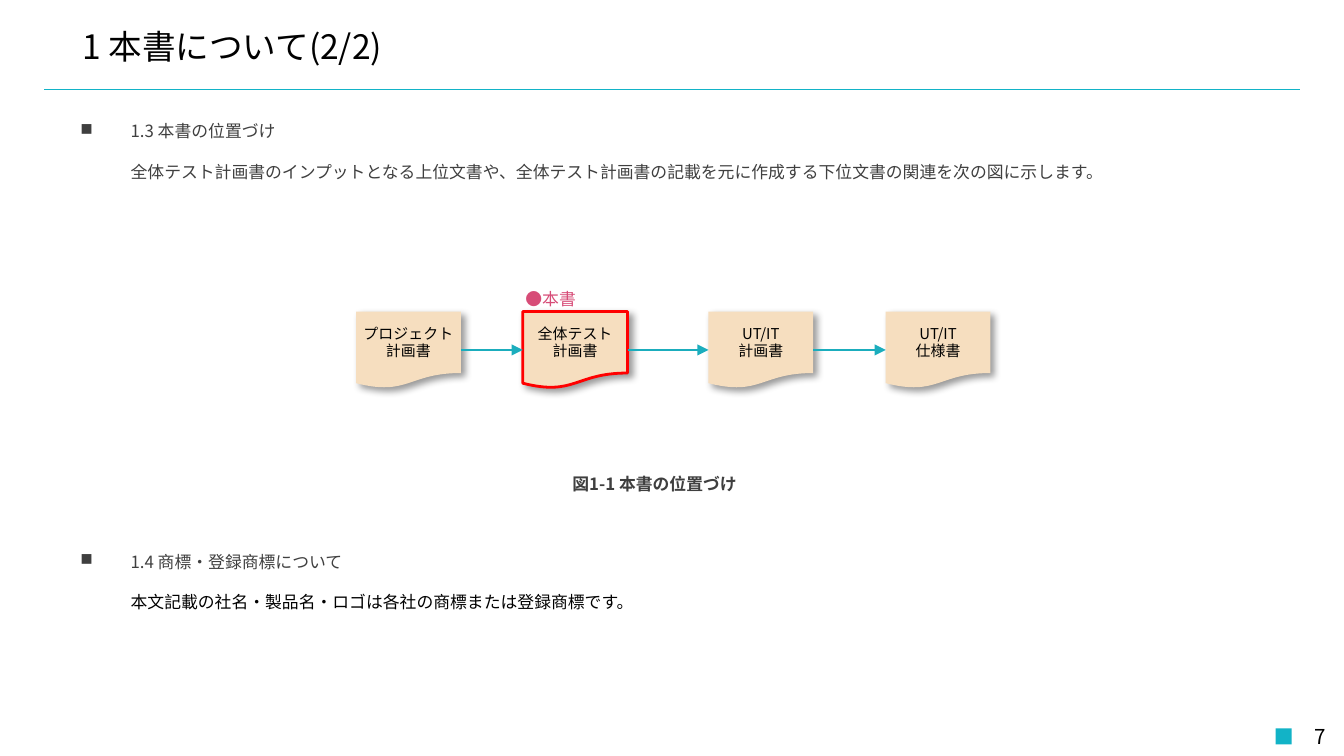
import pptx
import pptx.util
import pptx.dml.color
import pptx.enum.shapes
import pptx.enum.text
import pptx.oxml.ns
import lxml.etree

Cm = pptx.util.Cm
Pt = pptx.util.Pt
Align = pptx.enum.text.PP_ALIGN
Anchor = pptx.enum.text.MSO_ANCHOR
Shape = pptx.enum.shapes.MSO_SHAPE

FONT = "Noto Sans CJK JP"
COLORS = {
    "black": "000000",
    "body": "3F3F3F",
    "accent": "12B3C7",
    "arrow": "1BADBD",
    "document": "F6DEBF",
    "focus": "FF0000",
    "label": "D74C77",
}


def color(name):
    return pptx.dml.color.RGBColor.from_string(COLORS[name])


def add_element(parent, tag, **attributes):
    element = lxml.etree.SubElement(parent, pptx.oxml.ns.qn(tag))
    for key, value in attributes.items():
        element.set(key, str(value))
    return element


def write(frame, text, size=9, ink="black", bold=False, align=Align.LEFT,
          anchor=Anchor.TOP, wrap=True, spacing=None, before=0):
    frame.word_wrap = wrap
    frame.vertical_anchor = anchor
    for index, line in enumerate(text.split("\n")):
        para = frame.paragraphs[0] if index == 0 else frame.add_paragraph()
        para.alignment = align
        para.space_before = Pt(before if index else 0)
        if spacing:
            para.line_spacing = spacing
        span = para.add_run()
        span.text = line
        span.font.size = Pt(size)
        span.font.bold = bold
        span.font.name = FONT
        span.font.color.rgb = color(ink)
        add_element(span.font._element, "a:ea", typeface=FONT)
    return frame


def add_text(page, left, top, width, height, text, **style):
    box = page.shapes.add_textbox(Cm(left), Cm(top), Cm(width), Cm(height))
    return write(box.text_frame, text, **style)


def add_line(page, left, top, right, bottom, ink, weight):
    line = page.shapes.add_connector(
        pptx.enum.shapes.MSO_CONNECTOR.STRAIGHT,
        Cm(left), Cm(top), Cm(right), Cm(bottom))
    line.line.color.rgb = color(ink)
    line.line.width = Pt(weight)
    add_element(line._element.spPr, "a:effectLst")
    return line


def add_header(page, left, top, width, height, text):
    title = page.shapes.title
    title.left, title.top = Cm(left + 0.46), Cm(top)
    title.width, title.height = Cm(width - 0.86), Cm(height)
    write(title.text_frame, text, size=18, anchor=Anchor.MIDDLE)
    add_line(page, left, top + 1.32, left + width, top + 1.32, "accent", 0.25)


def add_footer(page, left, top, width, height, number):
    add_text(page, left, top, width, height, number, size=11,
             align=Align.RIGHT, anchor=Anchor.MIDDLE)
    marker = page.shapes.add_shape(
        Shape.RECTANGLE, Cm(left + 2.34), Cm(top + 0.23), Cm(0.3), Cm(0.3))
    marker.shadow.inherit = False
    marker.fill.solid()
    marker.fill.fore_color.rgb = color("accent")
    marker.line.fill.background()


def add_section(page, left, top, width, height, heading, text, ink):
    frame = add_text(page, left, top, width, height, heading + "\n" + text,
                     ink="body", spacing=Pt(11), before=10.6)
    first, second = frame.paragraphs
    for para, indent in ((first, -Cm(0.95)), (second, 0)):
        para._p.get_or_add_pPr().set("marL", str(Cm(0.95)))
        para._p.get_or_add_pPr().set("indent", str(indent))
    add_element(first._p.get_or_add_pPr(), "a:buChar", char="■")
    second.runs[0].font.color.rgb = color(ink)


def add_document(page, left, top, width, height, text, focus):
    document = page.shapes.add_shape(
        Shape.FLOWCHART_DOCUMENT, Cm(left), Cm(top), Cm(width), Cm(height))
    document.fill.solid()
    document.fill.fore_color.rgb = color("document")
    if focus:
        document.line.color.rgb = color("focus")
        document.line.width = Pt(1.5)
    else:
        document.line.fill.background()
    document.shadow.inherit = False
    effects = document._element.spPr.find(pptx.oxml.ns.qn("a:effectLst"))
    shadow = add_element(effects, "a:outerShdw", blurRad=Pt(4), dist=Pt(3),
                         dir=45 * 60000, algn="tl", rotWithShape=0)
    shade = add_element(shadow, "a:srgbClr", val=COLORS["black"])
    add_element(shade, "a:alpha", val=40000)
    frame = document.text_frame
    frame.margin_left = frame.margin_right = Cm(0.38)
    frame.margin_top = frame.margin_bottom = Cm(0.2)
    write(frame, text, size=8, align=Align.CENTER, anchor=Anchor.MIDDLE,
          wrap=False, spacing=Pt(9.1))
    return document


def add_flow(page, left, top, width, height, steps):
    document_width = 1.98
    previous = None
    for offset, text, label in steps:
        document = add_document(page, left + offset, top, document_width,
                                height, text, bool(label))
        if label:
            add_text(page, left + offset - 0.2, top - 0.56, 1.47, 0.64, label,
                     ink="label", wrap=False, spacing=Pt(11))
        if previous:
            arrow = add_line(page, left, top, left + width, top, "arrow", 1.25)
            arrow.begin_connect(previous, 3)
            arrow.end_connect(document, 1)
            add_element(arrow.line._get_or_add_ln(), "a:tailEnd", type="triangle")
        previous = document


def main():
    deck = pptx.Presentation()
    deck.slide_width, deck.slide_height = Cm(25.4), Cm(14.29)
    page = deck.slides.add_slide(deck.slide_layouts[5])
    add_header(page, 0.84, 0.36, 23.72, 1.02, "1 本書について(2/2)")
    add_section(page, 1.27, 2.16, 22.86, 1.96, "1.3 本書の位置づけ",
                "全体テスト計画書のインプットとなる上位文書や、"
                "全体テスト計画書の記載を元に作成する下位文書の関連を次の図に示します。",
                "body")
    add_flow(page, 6.73, 5.89, 11.99, 1.45, [
        (0, "プロジェクト\n計画書", ""),
        (3.15, "全体テスト\n計画書", "●本書"),
        (6.66, "UT/IT\n計画書", ""),
        (10.01, "UT/IT\n仕様書", ""),
    ])
    add_text(page, 9.07, 8.71, 6.6, 0.66, "図1-1 本書の位置づけ",
             ink="body", bold=True, align=Align.CENTER, spacing=1.3)
    add_section(page, 1.27, 10.29, 22.86, 1.96, "1.4 商標・登録商標について",
                "本文記載の社名・製品名・ロゴは各社の商標または登録商標です。", "black")
    add_footer(page, 21.77, 13.54, 3.53, 0.76, "7")
    deck.save("out.pptx")


main()
